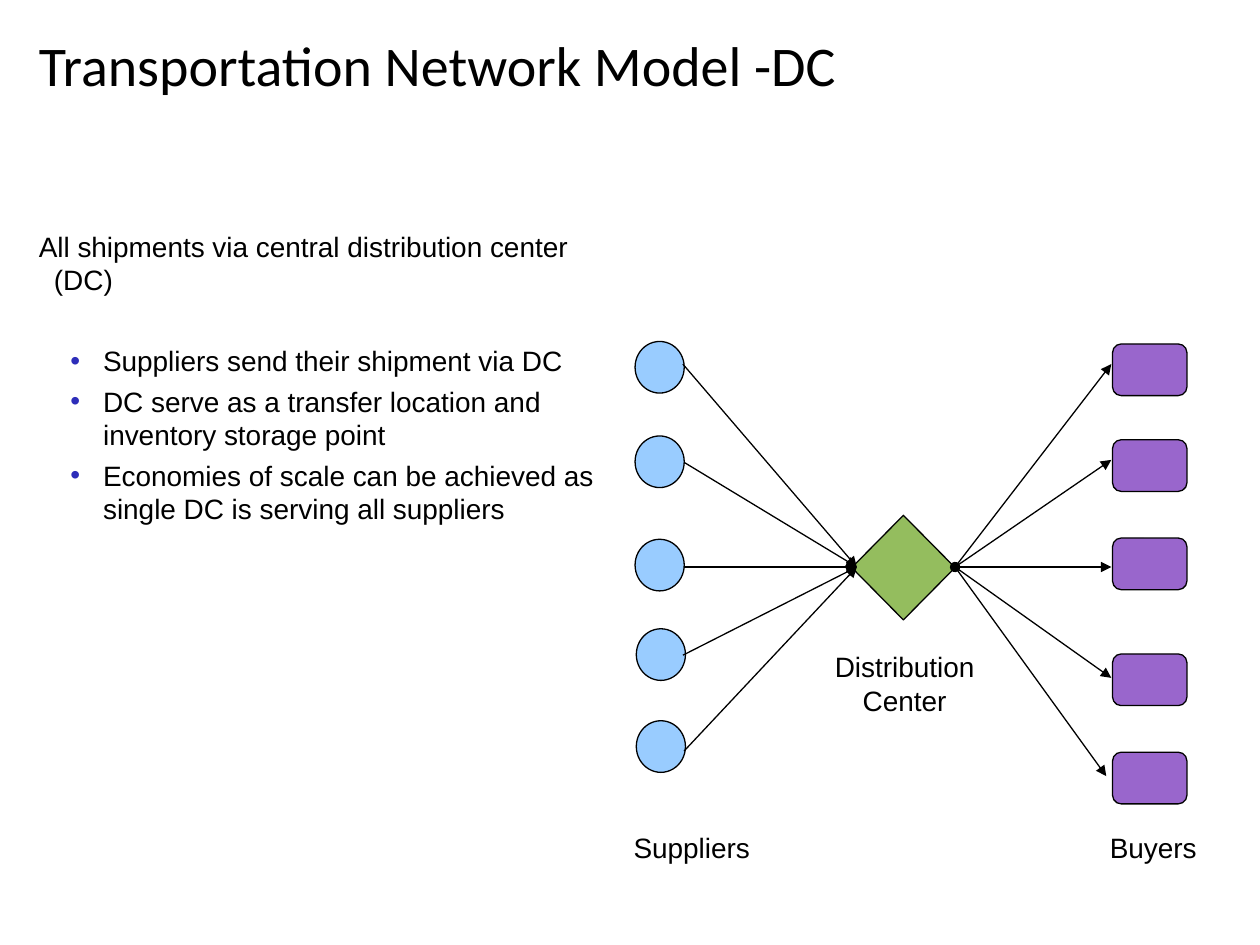
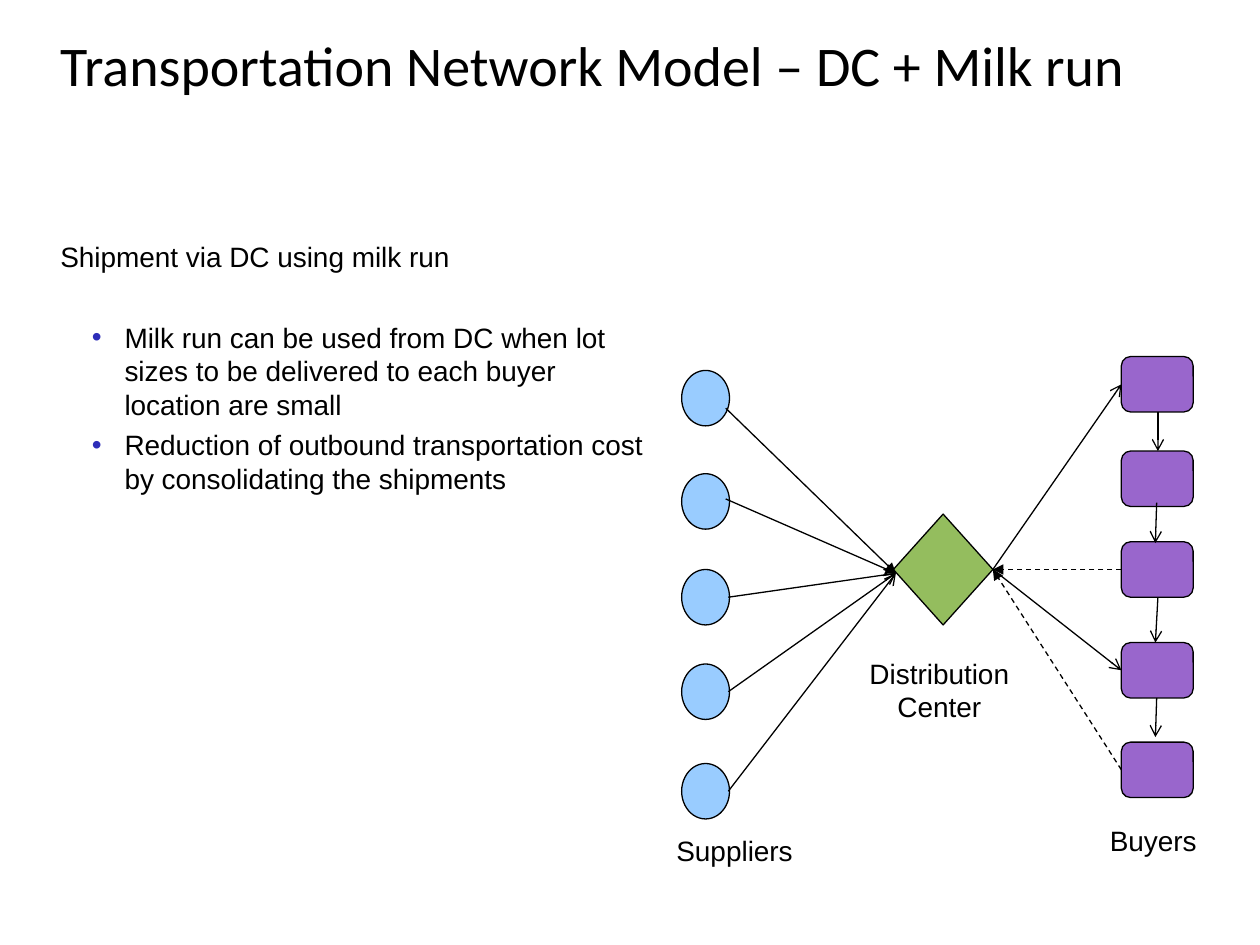
from dataclasses import dataclass
from typing import NamedTuple

from lxml import etree
from pptx import Presentation
from pptx.dml.color import RGBColor
from pptx.enum.dml import MSO_LINE
from pptx.enum.shapes import MSO_CONNECTOR, MSO_SHAPE
from pptx.enum.text import MSO_ANCHOR, PP_ALIGN
from pptx.oxml.ns import qn
from pptx.util import Pt

PX = 9144  # EMU in one px, at 100 px to the inch
OVAL, DIAMOND, ROUND = MSO_SHAPE.OVAL, MSO_SHAPE.DIAMOND, MSO_SHAPE.ROUNDED_RECTANGLE
STRAIGHT, DASH = MSO_CONNECTOR.STRAIGHT, MSO_LINE.DASH
LEFT, CENTER = PP_ALIGN.LEFT, PP_ALIGN.CENTER
TOP, MIDDLE = MSO_ANCHOR.TOP, MSO_ANCHOR.MIDDLE


@dataclass(frozen=True)
class Theme:
    ink: str = "000000"
    source: str = "99CCFF"
    hub: str = "94BD5E"
    buyer: str = "9966CC"
    bullet: str = "2D2DB9"
    head_font: str = "Calibri"
    text_font: str = "Arial"
    head_size: int = 32
    text_size: int = 16
    line: float = 0.75
    gap: int = 4
    lead_gap: int = 27
    hang: int = 12
    indent: int = 51
    bullet_hang: int = 26


THEME = Theme()


class Point(NamedTuple):
    x: int
    y: int


class Box(NamedTuple):
    x: int
    y: int
    w: int
    h: int


class Link(NamedTuple):
    start: Point
    end: Point
    tail: str = "triangle"
    head: str = ""
    dashed: bool = False


@dataclass(frozen=True)
class Column:
    """Equal nodes that stand at one left edge, by default."""
    x: int
    w: int
    h: int
    tops: tuple[int, ...]
    shifts: tuple[int, ...] = (0,) * 5

    def boxes(self) -> list[Box]:
        return [Box(self.x + dx, y, self.w, self.h)
                for y, dx in zip(self.tops, self.shifts)]


@dataclass(frozen=True)
class Model:
    title: str
    title_box: Box
    lead: str
    points: tuple[str, ...]
    body: Box
    sources: Column
    hub: Box
    buyers: Column
    links: tuple[Link, ...]
    source_tag: Box
    hub_tag: Box
    buyer_tag: Box


def scale(*sizes: int) -> list[int]:
    return [size * PX for size in sizes]


def color(code: str) -> RGBColor:
    return RGBColor.from_string(code)


def add_text(slide, box: Box, lines: tuple[str, ...], *, font=THEME.text_font,
             size=THEME.text_size, align=LEFT, anchor=TOP):
    frame = slide.shapes.add_textbox(*scale(*box)).text_frame
    frame.word_wrap = True
    frame.vertical_anchor = anchor
    for i, line in enumerate(lines):
        par = frame.paragraphs[0] if i == 0 else frame.add_paragraph()
        par.alignment = align
        run = par.add_run()
        run.text = line
        run.font.name, run.font.size = font, Pt(size)
        run.font.color.rgb = color(THEME.ink)
    return frame


def set_indent(par, left: int, hang: int):
    props = par._p.get_or_add_pPr()
    props.set("marL", str(left * PX))
    props.set("indent", str(-hang * PX))
    return props


def add_bullet(par) -> None:
    par.level = 1
    props = set_indent(par, THEME.indent, THEME.bullet_hang)
    tint = etree.SubElement(props, qn("a:buClr"))
    etree.SubElement(tint, qn("a:srgbClr"), val=THEME.bullet)
    etree.SubElement(props, qn("a:buFont"), typeface=THEME.text_font)
    etree.SubElement(props, qn("a:buChar"), char="•")


def add_body(slide, model: Model) -> None:
    lead, *items = add_text(slide, model.body, (model.lead, *model.points)).paragraphs
    lead.space_before = Pt(THEME.gap)
    set_indent(lead, THEME.hang, THEME.hang)
    for i, item in enumerate(items):
        item.space_before = Pt(THEME.gap if i else THEME.lead_gap)
        add_bullet(item)


def add_node(slide, kind, box: Box, fill: str) -> None:
    node = slide.shapes.add_shape(kind, *scale(*box))
    node.shadow.inherit = False
    node.fill.solid()
    node.fill.fore_color.rgb = color(fill)
    node.line.color.rgb = color(THEME.ink)
    node.line.width = Pt(THEME.line)


def add_link(slide, link: Link) -> None:
    wire = slide.shapes.add_connector(STRAIGHT, *scale(*link.start, *link.end))
    wire.line.color.rgb = color(THEME.ink)
    wire.line.width = Pt(THEME.line)
    if link.dashed:
        wire.line.dash_style = DASH
    stroke = wire.line._get_or_add_ln()
    for tag, kind in (("a:headEnd", link.head), ("a:tailEnd", link.tail)):
        if kind:
            etree.SubElement(stroke, qn(tag), type=kind)
    etree.SubElement(wire._element.spPr, qn("a:effectLst"))


def draw(deck, model: Model) -> None:
    slide = deck.slides.add_slide(deck.slide_layouts[6])
    add_text(slide, model.title_box, (model.title,), font=THEME.head_font,
             size=THEME.head_size, anchor=MIDDLE)
    add_body(slide, model)
    for box in model.sources.boxes():
        add_node(slide, OVAL, box, THEME.source)
    add_node(slide, DIAMOND, model.hub, THEME.hub)
    for box in model.buyers.boxes():
        add_node(slide, ROUND, box, THEME.buyer)
    for link in model.links:
        add_link(slide, link)
    add_text(slide, model.source_tag, ("Suppliers",))
    add_text(slide, model.hub_tag, ("Distribution Center",), align=CENTER)
    add_text(slide, model.buyer_tag, ("Buyers",))


DC_IN, DC_OUT = Point(680, 450), Point(758, 450)
DC = Model(
    title="Transportation Network Model -DC",
    title_box=Box(21, 18, 940, 65),
    lead="All shipments via central distribution center (DC)",
    points=("Suppliers send their shipment via DC",
            "DC serve as a transfer location and inventory storage point",
            "Economies of scale can be achieved as single DC is serving all suppliers"),
    body=Box(21, 177, 462, 248),
    sources=Column(504, 39, 41, (271, 346, 428, 499, 572), (0, 0, 0, 1, 1)),
    hub=Box(676, 409, 82, 83),
    buyers=Column(883, 59, 41, (273, 349, 427, 519, 597)),
    links=(
        *(Link(Point(x, y), DC_IN) for x, y in
          ((542, 289), (543, 367), (543, 450), (542, 520), (543, 596))),
        *(Link(DC_OUT, Point(882, y)) for y in (289, 365, 450, 538)),
        Link(DC_OUT, Point(878, 616), head="oval"),
    ),
    source_tag=Box(493, 654, 116, 40),
    hub_tag=Box(651, 511, 134, 64),
    buyer_tag=Box(871, 654, 91, 40),
)

RUN_IN, RUN_OUT = Point(711, 455), Point(788, 452)
MILK_RUN = Model(
    title="Transportation Network Model – DC + Milk run",
    title_box=Box(38, 18, 923, 65),
    lead="Shipment via DC using milk run",
    points=("Milk run can be used from DC when lot sizes to be delivered to each "
            "buyer location are small",
            "Reduction of outbound transportation cost by consolidating the shipments"),
    body=Box(38, 185, 489, 215),
    sources=Column(541, 38, 44, (294, 376, 452, 527, 606)),
    hub=Box(709, 408, 79, 88),
    buyers=Column(890, 57, 44, (283, 358, 430, 510, 589)),
    links=(
        *(Link(Point(576, y), RUN_IN) for y in (324, 396)),
        *(Link(Point(578, y), RUN_IN, "arrow") for y in (474, 549, 628)),
        *(Link(RUN_OUT, Point(890, y), "arrow") for y in (305, 532)),
        *(Link(Point(890, y), RUN_OUT, dashed=True) for y in (452, 611)),
        *(Link(Point(x, y), Point(to_x, to_y), "arrow") for x, y, to_x, to_y in
          ((919, 327, 919, 358), (918, 399, 917, 431),
           (919, 474, 917, 510), (918, 554, 917, 585))),
    ),
    source_tag=Box(527, 657, 120, 40),
    hub_tag=Box(676, 516, 139, 64),
    buyer_tag=Box(871, 649, 91, 40),
)


def main() -> None:
    deck = Presentation()
    deck.slide_width, deck.slide_height = scale(1000, 750)
    for model in (DC, MILK_RUN):
        draw(deck, model)
    deck.save("out.pptx")


if __name__ == "__main__":
    main()
